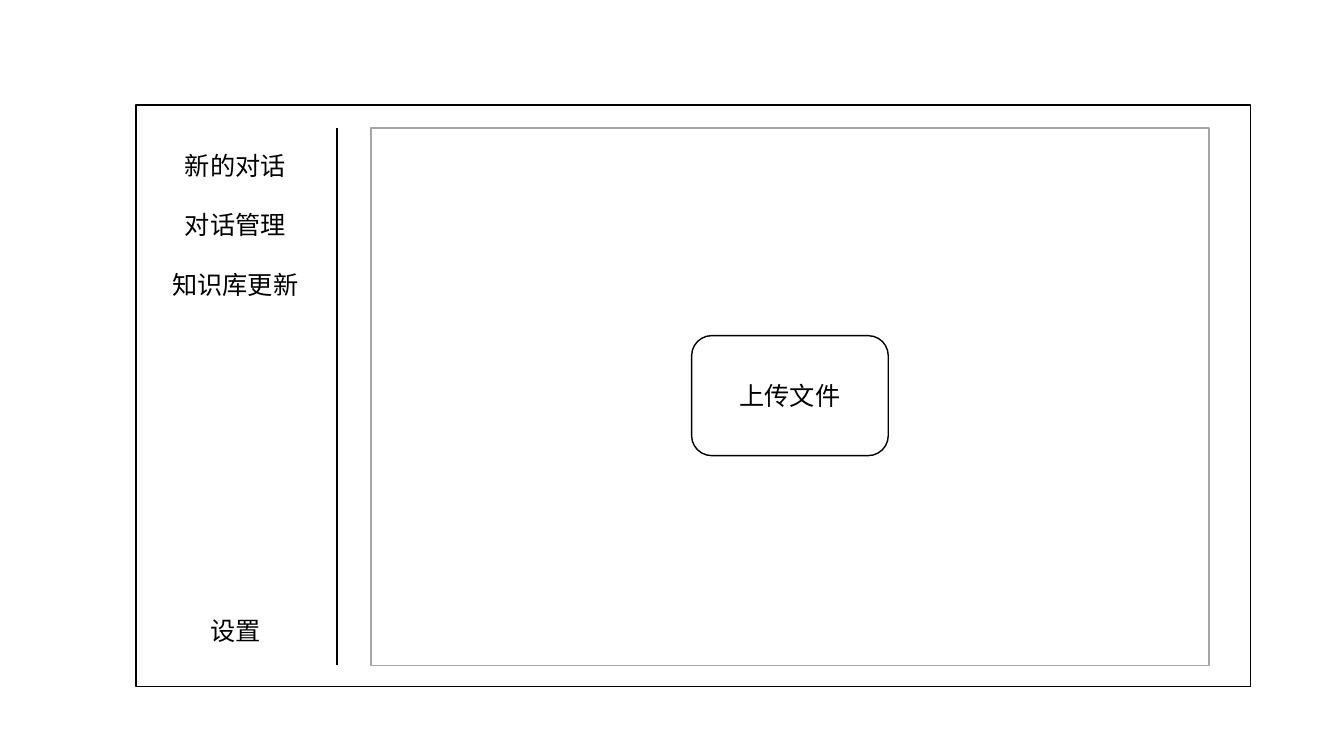
from pptx import Presentation
from pptx.dml.color import RGBColor
from pptx.enum.shapes import MSO_CONNECTOR, MSO_SHAPE
from pptx.enum.text import MSO_ANCHOR, MSO_AUTO_SIZE, PP_ALIGN
from pptx.oxml.ns import qn
from pptx.util import Inches, Pt
from lxml.etree import SubElement

FONT = "Noto Sans CJK SC"
BLACK, WHITE, GREY = "000000", "FFFFFF", "A5A5A5"

MENU_CENTER = 2.34
MENU_TOP, MENU_STEP = 1.44, 0.59
MENU_ITEMS = ["新的对话", "对话管理", "知识库更新"]
SETTINGS_TOP = 6.06
CONTENT_TOP, CONTENT_HEIGHT = 1.27, 5.33


def color(hex_string):
    return RGBColor.from_string(hex_string)


def add_text(paragraph, text):
    run = paragraph.add_run()
    run.text = text
    run.font.size = Pt(18)
    run.font.name = FONT
    run.font.color.rgb = color(BLACK)
    # Chinese characters take the East Asian typeface
    SubElement(run.font._element, qn("a:ea")).set("typeface", FONT)


def add_panel(slide, kind, left, top, width, height, line_color):
    shape = slide.shapes.add_shape(
        kind, Inches(left), Inches(top), Inches(width), Inches(height))
    shape.shadow.inherit = False
    shape.fill.solid()
    shape.fill.fore_color.rgb = color(WHITE)
    shape.line.color.rgb = color(line_color)
    shape.line.width = Pt(1)
    return shape


def add_button(slide, text, left, top, width, height):
    shape = add_panel(slide, MSO_SHAPE.ROUNDED_RECTANGLE,
                      left, top, width, height, BLACK)
    shape.text_frame.vertical_anchor = MSO_ANCHOR.MIDDLE
    paragraph = shape.text_frame.paragraphs[0]
    paragraph.alignment = PP_ALIGN.CENTER
    add_text(paragraph, text)


def add_menu_item(slide, text, top):
    # One 18 pt character is a quarter inch wide, plus the side margins
    width = 0.25 * len(text) + 0.21
    box = slide.shapes.add_textbox(
        Inches(MENU_CENTER - width / 2), Inches(top), Inches(width), Inches(0.4))
    box.text_frame.word_wrap = False
    box.text_frame.auto_size = MSO_AUTO_SIZE.SHAPE_TO_FIT_TEXT
    add_text(box.text_frame.paragraphs[0], text)


def add_divider(slide, x, top, height):
    line = slide.shapes.add_connector(
        MSO_CONNECTOR.STRAIGHT,
        Inches(x), Inches(top), Inches(x), Inches(top + height))
    line.line.color.rgb = color(BLACK)
    line.line.width = Pt(1.5)
    SubElement(line._element.spPr, qn("a:effectLst"))


def main():
    presentation = Presentation()
    presentation.slide_width = Inches(13.33)
    presentation.slide_height = Inches(7.5)
    slide = presentation.slides.add_slide(presentation.slide_layouts[6])

    # Window frame and sidebar divider
    add_panel(slide, MSO_SHAPE.RECTANGLE, 1.35, 1.04, 11.05, 5.77, BLACK)
    add_divider(slide, 3.34, CONTENT_TOP, CONTENT_HEIGHT)

    # Sidebar menu
    for index, item in enumerate(MENU_ITEMS):
        add_menu_item(slide, item, MENU_TOP + index * MENU_STEP)
    add_menu_item(slide, "设置", SETTINGS_TOP)

    # Content area with upload button
    add_panel(slide, MSO_SHAPE.RECTANGLE,
              3.68, CONTENT_TOP, 8.31, CONTENT_HEIGHT, GREY)
    add_button(slide, "上传文件", 6.86, 3.33, 1.95, 1.19)

    presentation.save("out.pptx")


if __name__ == "__main__":
    main()
